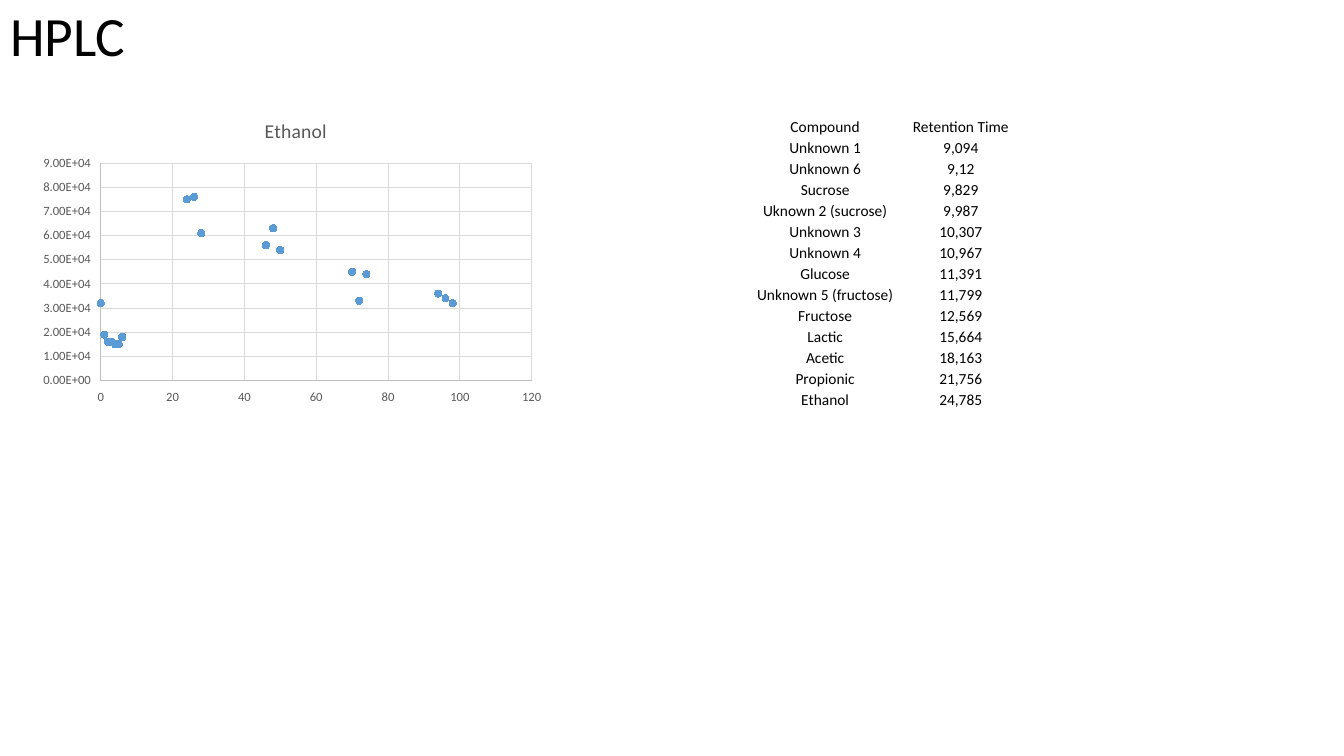
from lxml import etree
from pptx import Presentation
from pptx.chart.data import XyChartData
from pptx.dml.color import RGBColor
from pptx.enum.chart import XL_CHART_TYPE, XL_MARKER_STYLE, XL_TICK_LABEL_POSITION, XL_TICK_MARK
from pptx.enum.text import MSO_ANCHOR, MSO_AUTO_SIZE, PP_ALIGN
from pptx.oxml.ns import qn
from pptx.util import Pt

SCATTER = XL_CHART_TYPE.XY_SCATTER
CIRCLE = XL_MARKER_STYLE.CIRCLE
LOW = XL_TICK_LABEL_POSITION.LOW
NO_TICK = XL_TICK_MARK.NONE
MIDDLE, BOTTOM = MSO_ANCHOR.MIDDLE, MSO_ANCHOR.BOTTOM
NO_FIT = MSO_AUTO_SIZE.NONE
LEFT, CENTER = PP_ALIGN.LEFT, PP_ALIGN.CENTER
FONT = "Calibri"
BLACK, GREY, AXIS, GRID, BLUE = "000000", "595959", "BFBFBF", "D9D9D9", "5B9BD5"

RETENTION_TIMES = [
    ("Compound", "Retention Time"),
    ("Unknown 1", "9,094"),
    ("Unknown 6", "9,12"),
    ("Sucrose", "9,829"),
    ("Uknown 2 (sucrose)", "9,987"),
    ("Unknown 3", "10,307"),
    ("Unknown 4", "10,967"),
    ("Glucose", "11,391"),
    ("Unknown 5 (fructose)", "11,799"),
    ("Fructose", "12,569"),
    ("Lactic", "15,664"),
    ("Acetic", "18,163"),
    ("Propionic", "21,756"),
    ("Ethanol", "24,785"),
]
ETHANOL = [
    (0, 32000), (1, 19000), (2, 16000), (3, 16000), (4, 15000), (5, 15000), (6, 18000),
    (24, 75000), (26, 76000), (28, 61000), (46, 56000), (48, 63000), (50, 54000),
    (70, 45000), (72, 33000), (74, 44000), (94, 36000), (96, 34000), (98, 32000),
]


def color(value):
    return RGBColor.from_string(value)


def style_font(font, size, fill):
    font.name, font.size, font.bold = FONT, Pt(size), False
    font.color.rgb = color(fill)


def put_text(tf, text, size=11, fill=BLACK, align=CENTER, spacing=None):
    p = tf.paragraphs[0]
    p.alignment, p.line_spacing = align, spacing
    r = p.add_run()
    r.text = text
    style_font(r.font, size, fill)


def add_title(s, text, left, top, width, height):
    sp = s.shapes.title
    sp.left, sp.top, sp.width, sp.height = Pt(left), Pt(top), Pt(width), Pt(height)
    tf = sp.text_frame
    tf.auto_size, tf.vertical_anchor = NO_FIT, MIDDLE
    put_text(tf, text, size=39.6, align=LEFT, spacing=0.9)


def add_plain_table(s, rows, left, top, widths, header, height):
    total = header + height * (len(rows) - 1)
    table = s.shapes.add_table(len(rows), len(widths), Pt(left), Pt(top),
                               Pt(sum(widths)), Pt(total)).table
    table.first_row = table.horz_banding = False
    for column, width in zip(table.columns, widths):
        column.width = Pt(width)
    for i, (row, texts) in enumerate(zip(table.rows, rows)):
        row.height = Pt(height if i else header)
        for cell, text in zip(row.cells, texts):
            cell.fill.background()
            cell.vertical_anchor = BOTTOM
            cell.margin_left = cell.margin_right = cell.margin_top = Pt(0.7)
            cell.margin_bottom = 0
            put_text(cell.text_frame, text)


def style_axis(axis, maximum, step, number_format):
    axis.minimum_scale, axis.maximum_scale, axis.major_unit = 0, maximum, step
    axis.major_tick_mark = axis.minor_tick_mark = NO_TICK
    axis.tick_label_position = LOW
    axis.has_major_gridlines = True
    for line, fill in ((axis.format.line, AXIS), (axis.major_gridlines.format.line, GRID)):
        line.color.rgb, line.width = color(fill), Pt(0.75)
    labels = axis.tick_labels
    labels.number_format, labels.number_format_is_linked = number_format, False
    style_font(labels.font, 9, GREY)


def place_plot(chart, **fractions):
    area = chart.element.find(".//" + qn("c:plotArea"))
    for old in area.findall(qn("c:layout")):
        area.remove(old)
    layout = etree.Element(qn("c:layout"))
    area.insert(0, layout)
    manual = etree.SubElement(layout, qn("c:manualLayout"))
    settings = {"layoutTarget": "inner", "xMode": "edge", "yMode": "edge", **fractions}
    for tag, value in settings.items():
        etree.SubElement(manual, qn("c:" + tag)).set("val", str(value))


def add_scatter(s, name, points, left, top, width, height):
    data = XyChartData()
    series = data.add_series(name)
    for x, y in points:
        series.add_data_point(x, y)
    chart = s.shapes.add_chart(SCATTER, Pt(left), Pt(top), Pt(width), Pt(height), data).chart
    style_font(chart.font, 10, BLACK)
    chart.has_legend = False
    chart.has_title = True
    put_text(chart.chart_title.text_frame, name, size=14, fill=GREY)
    chart.chart_title.include_in_layout = False
    style_axis(chart.category_axis, 120, 20, "General")
    style_axis(chart.value_axis, 90000, 10000, "0.00E+00")
    place_plot(chart, x=0.12, y=0.2, w=0.84, h=0.72)
    plot = chart.plots[0]
    plot.vary_by_categories = False
    dots = plot.series[0]
    dots.smooth = False
    dots.format.line.fill.background()
    dots.marker.style, dots.marker.size = CIRCLE, 5
    dots.marker.format.fill.solid()
    dots.marker.format.fill.fore_color.rgb = color(BLUE)
    dots.marker.format.line.color.rgb = color(BLUE)


def main():
    prs = Presentation()
    prs.slide_width, prs.slide_height = Pt(960), Pt(540)
    s = prs.slides.add_slide(prs.slide_layouts[5])
    add_title(s, "HPLC", 0, 1.4, 828, 52)
    add_plain_table(s, RETENTION_TIMES, 531.4, 80, (116, 77.8), header=17.4, height=15)
    add_scatter(s, "Ethanol", ETHANOL, 28, 73.4, 366.5, 216)
    prs.save("out.pptx")


if __name__ == "__main__":
    main()
